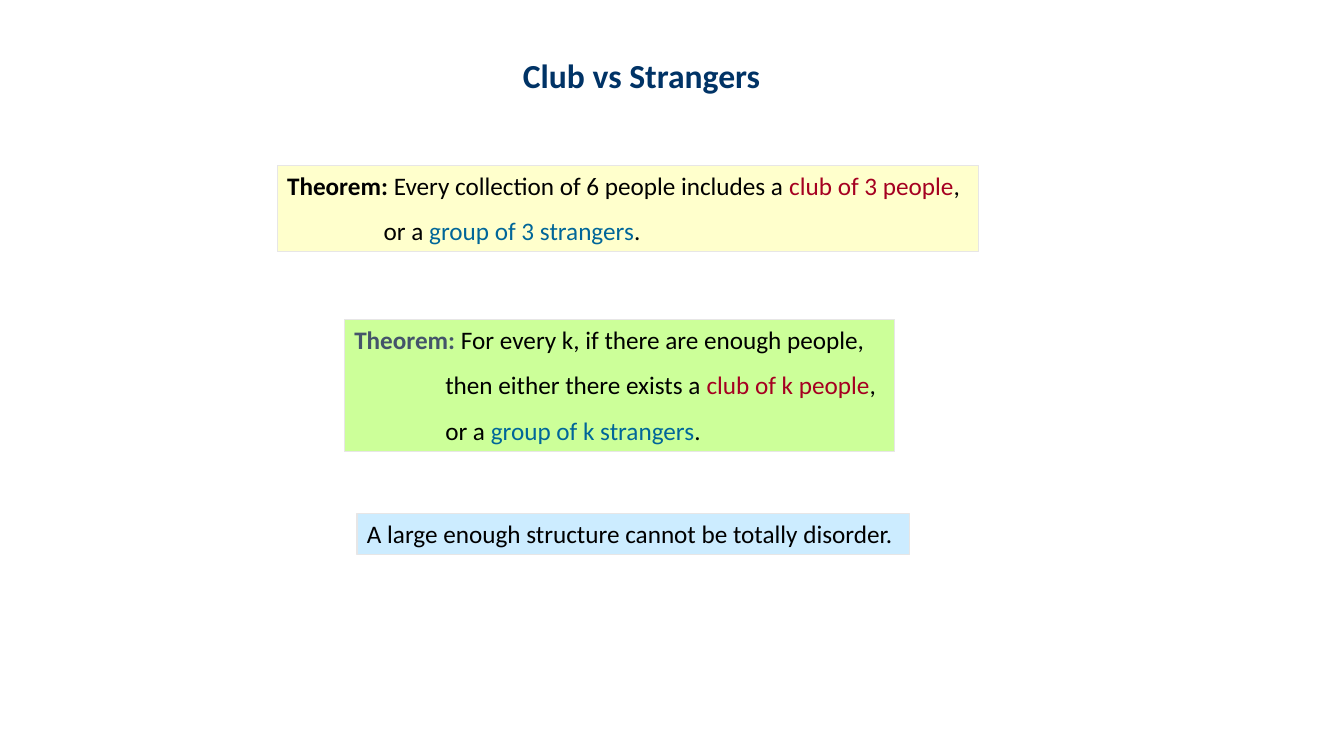
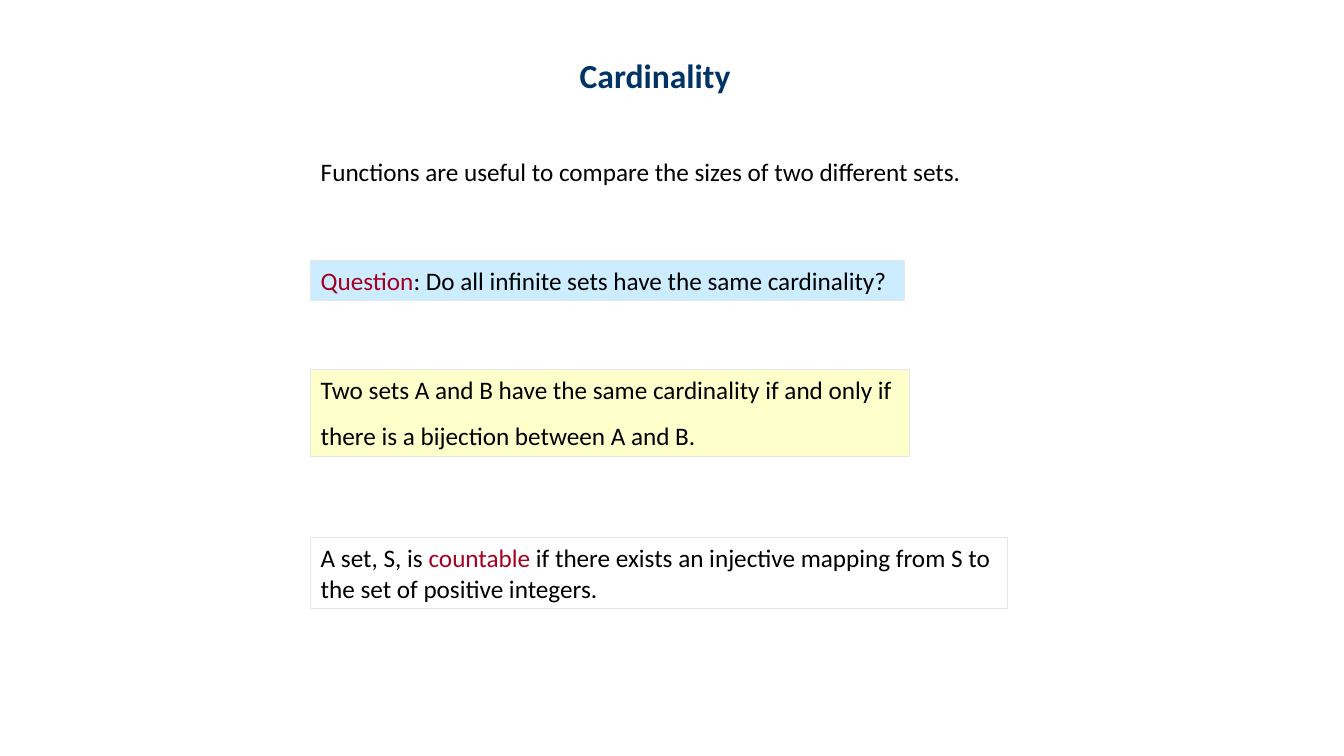
from pptx import Presentation
from pptx.dml.color import RGBColor
from pptx.enum.shapes import MSO_SHAPE
from pptx.enum.text import MSO_ANCHOR, PP_ALIGN
from pptx.util import Pt

# Shared style
FONT = "Calibri"
NAVY, BLACK, SLATE = "003366", "000000", "44546A"
RED, BLUE = "A50021", "006699"
YELLOW, GREEN, SKY, BORDER = "FFFFCC", "CCFF99", "CCECFF", "E7E6E6"
TITLE = dict(size=24, color=NAVY, bold=True)
LINE_H = 29


def rgb(value):
    return RGBColor.from_string(value)


def add_text(s, paras, left, top, width, height, size=18, color=BLACK,
             bold=False, fill=None, border=None, indent=0):
    """Each paragraph is a list of runs: (text, colour, bold), the last two optional.
    Paragraphs after the first are indented and spaced at 1.5 lines."""
    sp = s.shapes.add_shape(MSO_SHAPE.RECTANGLE, Pt(left), Pt(top), Pt(width), Pt(height))
    sp.shadow.inherit = False
    if fill:
        sp.fill.solid()
        sp.fill.fore_color.rgb = rgb(fill)
    else:
        sp.fill.background()
    if border:
        sp.line.color.rgb = rgb(border)
        sp.line.width = Pt(0.75)
    else:
        sp.line.fill.background()
    tf = sp.text_frame
    tf.word_wrap = True
    tf.vertical_anchor = MSO_ANCHOR.TOP
    for i, runs in enumerate(paras):
        p = tf.paragraphs[0] if i == 0 else tf.add_paragraph()
        p.alignment = PP_ALIGN.LEFT
        if i:
            p.line_spacing = 1.5
            if indent:
                p._p.get_or_add_pPr().set("marL", str(Pt(indent)))
        for text, *style in runs:
            r = p.add_run()
            r.text = text
            r.font.name = FONT
            r.font.size = Pt(size)
            r.font.color.rgb = rgb(style[0] if style else color)
            r.font.bold = style[1] if len(style) > 1 else bold


prs = Presentation()
prs.slide_width, prs.slide_height = Pt(960), Pt(540)
blank = prs.slide_layouts[6]

# Slide 1: Club vs Strangers
s = prs.slides.add_slide(blank)
add_text(s, [[("Club vs Strangers",)]], 366.5, 36, 186, 36, **TITLE)
add_text(s, [
    [("Theorem:", BLACK, True), (" Every collection of 6 people includes a ",),
     ("club of 3 people", RED), (",",)],
    [("or a ",), ("group of 3 strangers", BLUE), (".",)],
], 198, 118, 501, 62, fill=YELLOW, border=BORDER, indent=69)
add_text(s, [
    [("Theorem:", SLATE, True), (" For every k, if there are enough people,",)],
    [("then either there exists a ",), ("club of k people", RED), (",",)],
    [("or a ",), ("group of k strangers", BLUE), (".",)],
], 246, 228, 393, 94.5, fill=GREEN, border=BORDER, indent=65)
add_text(s, [[("A large enough structure cannot be totally disorder.",)]],
         255, 367, 395, LINE_H, fill=SKY, border=BORDER)

# Slide 2: Cardinality
s = prs.slides.add_slide(blank)
left = 222
add_text(s, [[("Cardinality",)]], 407, 36, 123, 36, **TITLE)
add_text(s, [[("Functions are useful to compare the sizes of two different sets.",)]],
         left, 108, 478, LINE_H)
add_text(s, [[("Question", RED), (": Do all infinite sets have the same cardinality?",)]],
         left, 186, 424, LINE_H, fill=SKY, border=BORDER)
add_text(s, [
    [("Two sets A and B have the same cardinality if and only if",)],
    [("there is a bijection between A and B.",)],
], left, 264, 428, 62, fill=YELLOW, border=BORDER)
add_text(s, [
    [("A set, S, is ",), ("countable", RED),
     (" if there exists an injective mapping from S to the set of positive integers.",)],
], left, 384, 498, 51, border=BORDER)

prs.save("out.pptx")
